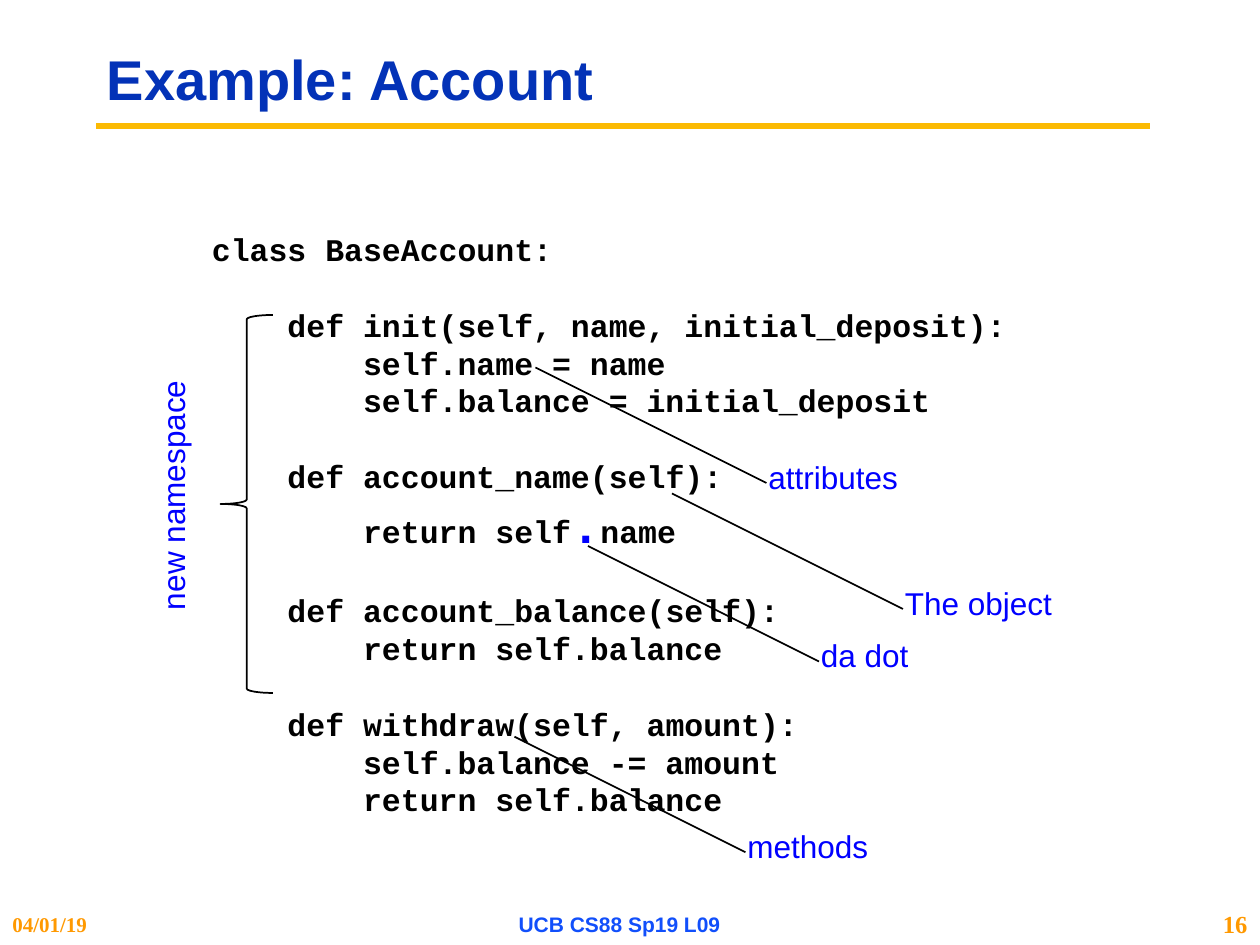
from lxml.etree import SubElement
from pptx import Presentation
from pptx.dml.color import RGBColor
from pptx.enum.shapes import MSO_CONNECTOR as Connector, MSO_SHAPE as Shape
from pptx.enum.text import MSO_ANCHOR as Anchor, PP_ALIGN as Align
from pptx.oxml.ns import qn
from pptx.util import Pt

BLACK = RGBColor(0x00, 0x00, 0x00)
GOLD = RGBColor(0xFB, 0xBA, 0x03)
ORANGE = RGBColor(0xFF, 0x99, 0x00)
TITLE_BLUE = RGBColor(0x03, 0x32, 0xB7)
FOOTER_BLUE = RGBColor(0x11, 0x4F, 0xFB)
NOTE_BLUE = RGBColor(0x00, 0x00, 0xFF)

TITLE = dict(name="Arial", size=Pt(32), bold=True)
CODE = dict(name="Courier New", size=Pt(18), bold=True)
DOT = dict(CODE, size=Pt(28))
NOTE = dict(name="Arial", size=Pt(18))
DATE = dict(name="Times New Roman", size=Pt(12), bold=True)
PAGE = dict(DATE, size=Pt(14))
COURSE = dict(name="Arial", size=Pt(12), bold=True)

CODE_LINE = 21.6  # line height of the 18 pt code
INDENT = 43.2  # four code characters

# Methods of the class; each line is (indent level, text).
METHODS = [
    [(1, "def init(self, name, initial_deposit):"),
     (2, "self.name = name"),
     (2, "self.balance = initial_deposit")],
    [(1, "def account_name(self):"),
     (2, "return self.name")],
    [(1, "def account_balance(self):"),
     (2, "return self.balance")],
    [(1, "def withdraw(self, amount):"),
     (2, "self.balance -= amount"),
     (2, "return self.balance")],
]
DOTTED_LINE = "return self.name"

# Label, width, and the point in the code that it explains.
CALLOUTS = [
    ("methods", 84, 294, 421),
    ("attributes", 89, 306, 210),
    ("The object", 99, 384, 282),
    ("da dot", 65, 336, 312),
]


def add_run(paragraph, text, font_format, color):
    run = paragraph.add_run()
    run.text = text
    for attribute, value in font_format.items():
        setattr(run.font, attribute, value)
    run.font.color.rgb = color


def add_frame(slide, left, top, width, height):
    return slide.shapes.add_textbox(Pt(left), Pt(top), Pt(width), Pt(height))


def add_label(slide, box, text, font_format, color,
              align=Align.LEFT, anchor=Anchor.MIDDLE, wrap=True):
    label = add_frame(slide, *box)
    frame = label.text_frame
    frame.word_wrap = wrap
    frame.vertical_anchor = anchor
    paragraph = frame.paragraphs[0]
    paragraph.alignment = align
    add_run(paragraph, text, font_format, color)
    return label


def add_line(slide, start, end, color, width):
    points = [Pt(value) for value in (*start, *end)]
    line = slide.shapes.add_connector(Connector.STRAIGHT, *points)
    line.line.color.rgb = color
    line.line.width = Pt(width)
    SubElement(line._element.spPr, qn("a:effectLst"))


def add_code_line(paragraph, level, text, gap):
    paragraph.line_spacing = Pt(CODE_LINE)
    paragraph.space_before = Pt(gap)
    properties = paragraph._p.get_or_add_pPr()
    properties.set("marL", str(Pt(level * INDENT)))
    properties.set("indent", "0")
    if text == DOTTED_LINE:
        paragraph.line_spacing = Pt(33.6)
        before, after = text.split(".")
        add_run(paragraph, before, CODE, BLACK)
        add_run(paragraph, ".", DOT, NOTE_BLUE)
        add_run(paragraph, after, CODE, BLACK)
    else:
        add_run(paragraph, text, CODE, BLACK)


def add_code(slide):
    frame = add_frame(slide, 114, 126, 504, 351).text_frame
    frame.word_wrap = True
    frame.margin_top = Pt(5.5)
    add_code_line(frame.paragraphs[0], 0, "class BaseAccount:", 0)
    for method in METHODS:
        for number, (level, text) in enumerate(method):
            gap = 0 if number else CODE_LINE
            add_code_line(frame.add_paragraph(), level, text, gap)


def add_namespace_brace(slide):
    brace = slide.shapes.add_shape(
        Shape.LEFT_BRACE, Pt(126), Pt(180), Pt(30), Pt(216))
    brace.shadow.inherit = False
    brace.fill.background()
    brace.line.color.rgb = BLACK
    brace.line.width = Pt(1)
    label = add_label(slide, (25.2, 268.6, 146.9, 28.8), "new namespace",
                      NOTE, NOTE_BLUE, Align.CENTER, Anchor.TOP, wrap=False)
    label.rotation = 270


def add_callout(slide, text, width, x, y):
    """Label at the lower right of a code point, joined to it by a line."""
    end_x, end_y = x + 132, y + 66
    add_label(slide, (end_x - 6, end_y - 18, width, 28.8), text,
              NOTE, NOTE_BLUE, anchor=Anchor.TOP, wrap=False)
    add_line(slide, (x, y), (end_x, end_y), BLACK, 1)


def add_footer(slide):
    top, height = 516, 24
    add_label(slide, (678, top, 42, height), "16", PAGE, ORANGE, Align.RIGHT,
              wrap=False)
    add_label(slide, (0, top, 120, height), "04/01/19", DATE, ORANGE)
    add_label(slide, (240, top, 228, height), "UCB CS88 Sp19 L09",
              COURSE, FOOTER_BLUE, Align.CENTER)


def main():
    deck = Presentation()
    deck.slide_width, deck.slide_height = Pt(720), Pt(540)
    slide = deck.slides.add_slide(deck.slide_layouts[6])

    add_line(slide, (55, 72), (657, 72), GOLD, 3.75)
    title = add_label(slide, (54, 18, 606, 58), "Example: Account",
                      TITLE, TITLE_BLUE)
    title.text_frame.paragraphs[0].line_spacing = 0.9
    add_code(slide)
    add_namespace_brace(slide)
    for callout in CALLOUTS:
        add_callout(slide, *callout)
    add_footer(slide)
    deck.save("out.pptx")


if __name__ == "__main__":
    main()
